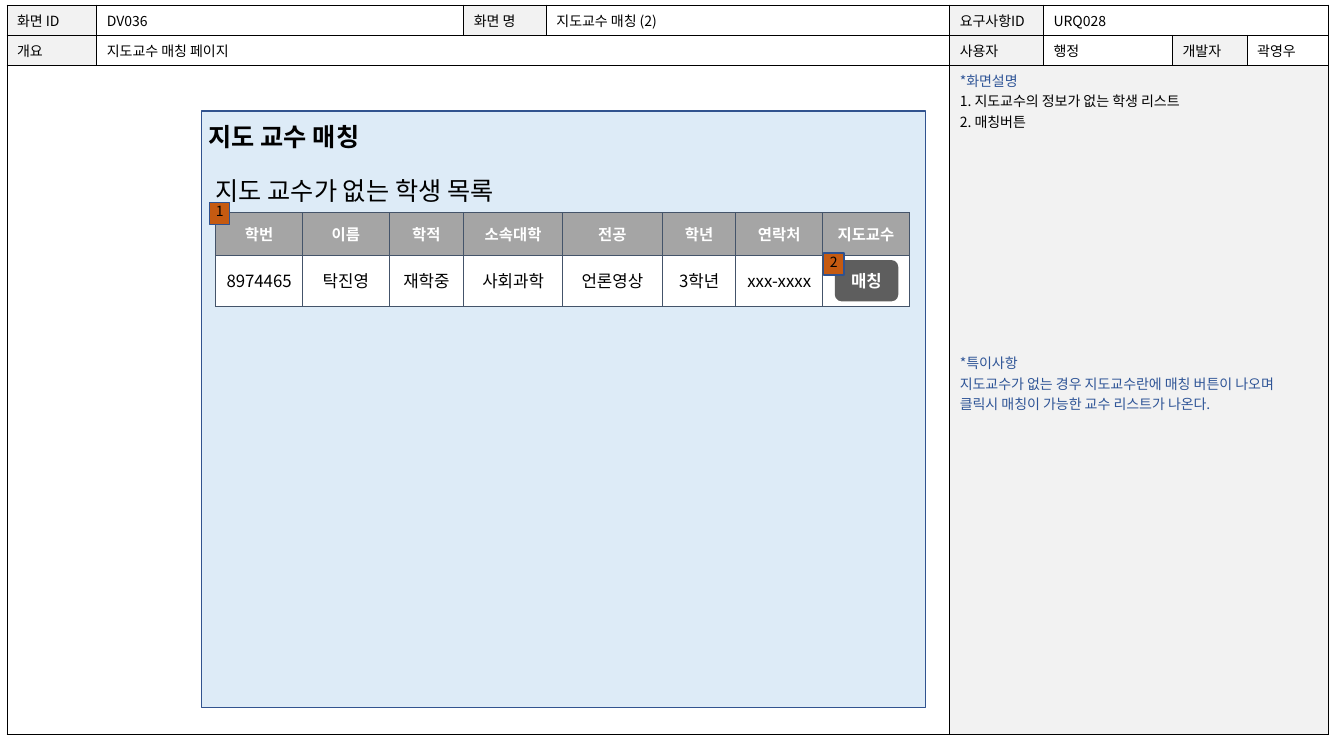
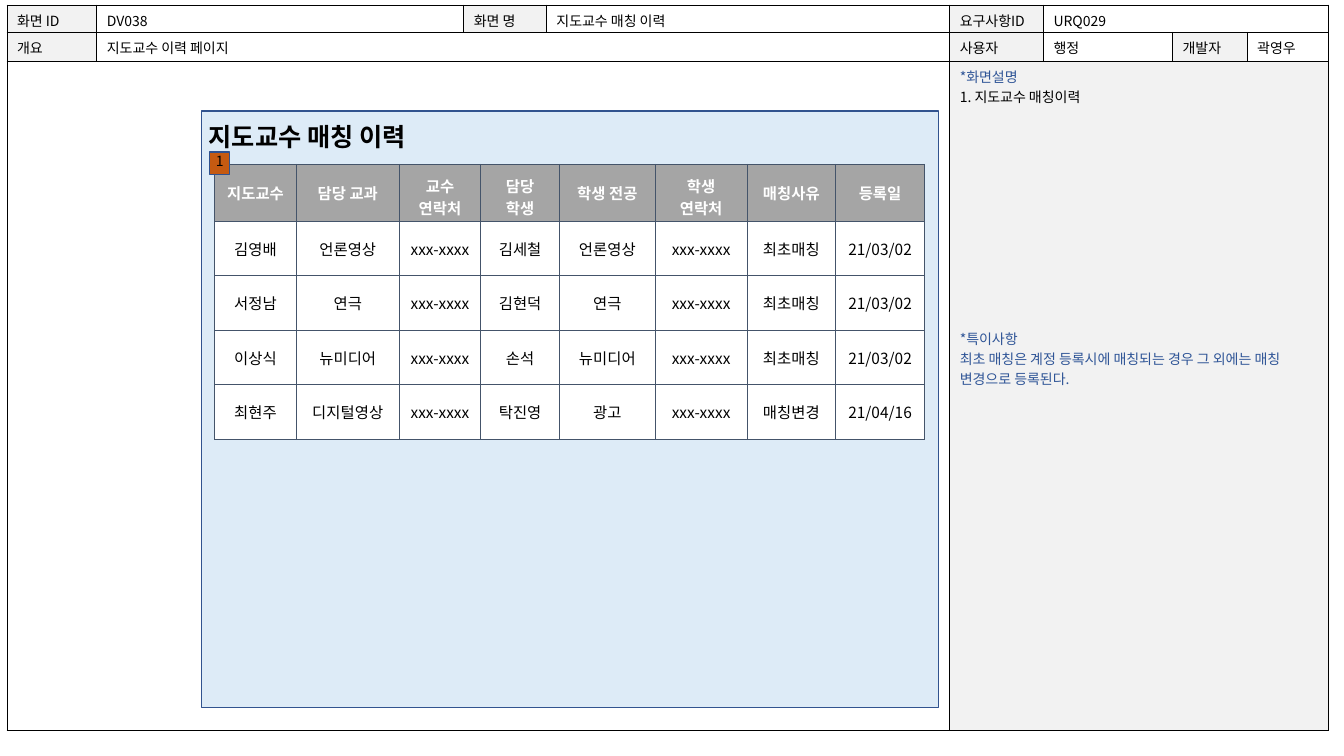
from lxml.etree import SubElement
from pptx import Presentation
from pptx.dml.color import RGBColor
from pptx.enum.shapes import MSO_SHAPE
from pptx.enum.text import MSO_ANCHOR, PP_ALIGN
from pptx.oxml.ns import qn
from pptx.util import Inches, Pt

FONT = "Noto Sans CJK KR"
COLORS = {
    "black": "000000", "white": "FFFFFF", "label": "F2F2F2", "note": "2F5597",
    "panel": "DDEBF7", "panel_line": "31538F", "header": "A5A5A5", "grid": "44546A",
    "badge": "C55A11", "badge_line": "2F528F", "button": "5E5E5E",
}
FORM_COLUMNS = [0.89, 3.64, 0.82, 4, 0.93, 1.28, 0.74, 0.81]
FORM_ROWS = [0.27, 0.29, 6.64]
FORM_MERGES = [(0, 5, 7), (1, 1, 3), (2, 0, 3), (2, 4, 7)]
FORM_LABELS = [(0, 0), (0, 2), (0, 4), (1, 0), (1, 4), (1, 6), (2, 4)]
NOTE_GAP = 158.4

SCREENS = [
    {
        "id": "DV036", "name": "지도교수 매칭 (2)", "requirement": "URQ028",
        "summary": "지도교수 매칭 페이지",
        "items": ["1. 지도교수의 정보가 없는 학생 리스트", "2. 매칭버튼"],
        "remarks": ["지도교수가 없는 경우 지도교수란에 매칭 버튼이 나오며",
                    "클릭시 매칭이 가능한 교수 리스트가 나온다."],
        "panel_width": 7.18,
        "headings": [("지도 교수 매칭", 2.07, 1.15, True),
                     ("지도 교수가 없는 학생 목록", 2.14, 1.68, False)],
        "table_at": (2.14, 2.11),
        "columns": [0.86, 0.86, 0.74, 0.98, 0.99, 0.73, 0.86, 0.86],
        "row_heights": [0.42, 0.51],
        "body_size": 12,
        "rows": [
            ["학번", "이름", "학적", "소속대학", "전공", "학년", "연락처", "지도교수"],
            ["8974465", "탁진영", "재학중", "사회과학", "언론영상", "3학년", "xxx-xxxx", ""],
        ],
        "buttons": [("매칭", 8.28, 2.58)],
        "badges": [(2.08, 2.01), (8.17, 2.51)],
    },
    {
        "id": "DV038", "name": "지도교수 매칭 이력", "requirement": "URQ029",
        "summary": "지도교수 이력 페이지",
        "items": ["1. 지도교수 매칭이력"],
        "remarks": ["최초 매칭은 계정 등록시에 매칭되는 경우 그 외에는 매칭 변경으로 등록된다."],
        "panel_width": 7.31,
        "headings": [("지도교수 매칭 이력", 2.07, 1.15, True)],
        "table_at": (2.13, 1.63),
        "columns": [0.81, 1.02, 0.81, 0.78, 0.95, 0.91, 0.88, 0.88],
        "row_heights": [0.54] * 5,
        "body_size": 11,
        "rows": [
            ["지도교수", "담당 교과", "교수 연락처", "담당 학생", "학생 전공",
             "학생\n연락처", "매칭사유", "등록일"],
            ["김영배", "언론영상", "xxx-xxxx", "김세철", "언론영상", "xxx-xxxx", "최초매칭", "21/03/02"],
            ["서정남", "연극", "xxx-xxxx", "김현덕", "연극", "xxx-xxxx", "최초매칭", "21/03/02"],
            ["이상식", "뉴미디어", "xxx-xxxx", "손석", "뉴미디어", "xxx-xxxx", "최초매칭", "21/03/02"],
            ["최현주", "디지털영상", "xxx-xxxx", "탁진영", "광고", "xxx-xxxx", "매칭변경", "21/04/16"],
        ],
        "buttons": [],
        "badges": [(2.08, 1.51)],
    },
]


def set_text(text_frame, text, size, color="black", bold=False, align=PP_ALIGN.LEFT):
    text_frame.text = text
    for paragraph in text_frame.paragraphs:
        paragraph.alignment = align
        if not paragraph.runs:
            SubElement(paragraph._p, qn("a:endParaRPr"), sz=str(size * 100))
        for run in paragraph.runs:
            run.font.name = FONT
            run.font.size = Pt(size)
            run.font.bold = bold
            run.font.color.rgb = RGBColor.from_string(COLORS[color])
            SubElement(run._r.get_or_add_rPr(), qn("a:ea"), typeface=FONT)


def add_grid(slide, left, top, columns, row_heights, border, margin):
    table = slide.shapes.add_table(
        len(row_heights), len(columns), Inches(left), Inches(top),
        Inches(sum(columns)), Inches(sum(row_heights))).table
    table.first_row = False
    table.horz_banding = False
    for column, width in zip(table.columns, columns):
        column.width = Inches(width)
    for row, height in zip(table.rows, row_heights):
        row.height = Inches(height)
    for cell in table.iter_cells():
        cell.margin_left = cell.margin_right = Inches(0.1)
        cell.margin_top = cell.margin_bottom = Inches(margin)
        properties = cell._tc.get_or_add_tcPr()
        for side in ("a:lnL", "a:lnR", "a:lnT", "a:lnB"):
            line = SubElement(properties, qn(side), w=str(Pt(0.75)))
            fill = SubElement(line, qn("a:solidFill"))
            SubElement(fill, qn("a:srgbClr"), val=COLORS[border])
        cell.fill.solid()
        cell.fill.fore_color.rgb = RGBColor.from_string(COLORS["white"])
    return table


presentation = Presentation()
presentation.slide_width = Inches(13.33)
presentation.slide_height = Inches(7.5)

for screen in SCREENS:
    slide = presentation.slides.add_slide(presentation.slide_layouts[6])

    form = add_grid(slide, 0.07, 0.05, FORM_COLUMNS, FORM_ROWS, "black", 0.05)
    for row, first, last in FORM_MERGES:
        form.cell(row, first).merge(form.cell(row, last))
    for row, column in FORM_LABELS:
        form.cell(row, column).fill.fore_color.rgb = RGBColor.from_string(COLORS["label"])
    notes = ["*화면설명", *screen["items"], "*특이사항", *screen["remarks"]]
    form_texts = [
        ["화면 ID", screen["id"], "화면 명", screen["name"], "요구사항ID", screen["requirement"], "", ""],
        ["개요", screen["summary"], "", "", "사용자", "행정", "개발자", "곽영우"],
        ["", "", "", "", "\n".join(notes), "", "", ""],
    ]
    for row, texts in enumerate(form_texts):
        for column, text in enumerate(texts):
            set_text(form.cell(row, column).text_frame, text, 10)
    note_paragraphs = form.cell(2, 4).text_frame.paragraphs
    item_count = len(screen["items"])
    for index, paragraph in enumerate(note_paragraphs):
        if 1 <= index <= item_count:
            properties = paragraph._p.get_or_add_pPr()
            properties.set("marL", str(Inches(0.25)))
            properties.set("indent", str(Inches(-0.25)))
        else:
            paragraph.runs[0].font.color.rgb = RGBColor.from_string(COLORS["note"])
    note_paragraphs[item_count + 1].space_before = Pt(NOTE_GAP)

    panel = slide.shapes.add_shape(
        MSO_SHAPE.RECTANGLE, Inches(2), Inches(1.1), Inches(screen["panel_width"]), Inches(5.92))
    panel.shadow.inherit = False
    panel.fill.solid()
    panel.fill.fore_color.rgb = RGBColor.from_string(COLORS["panel"])
    panel.line.color.rgb = RGBColor.from_string(COLORS["panel_line"])
    panel.line.width = Pt(1)

    for text, left, top, bold in screen["headings"]:
        heading = slide.shapes.add_textbox(Inches(left), Inches(top), Inches(3.2), Inches(0.41))
        text_frame = heading.text_frame
        text_frame.word_wrap = True
        text_frame.vertical_anchor = MSO_ANCHOR.MIDDLE
        text_frame.margin_left = text_frame.margin_right = 0
        text_frame.margin_top = text_frame.margin_bottom = 0
        set_text(text_frame, text, 18, bold=bold)

    left, top = screen["table_at"]
    listing = add_grid(slide, left, top, screen["columns"], screen["row_heights"], "grid", 0.1)
    for row, texts in enumerate(screen["rows"]):
        for column, text in enumerate(texts):
            cell = listing.cell(row, column)
            cell.vertical_anchor = MSO_ANCHOR.MIDDLE
            if row == 0:
                cell.fill.fore_color.rgb = RGBColor.from_string(COLORS["header"])
                set_text(cell.text_frame, text, 11, "white", True, PP_ALIGN.CENTER)
            else:
                set_text(cell.text_frame, text, screen["body_size"], align=PP_ALIGN.CENTER)

    for text, left, top in screen["buttons"]:
        button = slide.shapes.add_shape(
            MSO_SHAPE.ROUNDED_RECTANGLE, Inches(left), Inches(top), Inches(0.63), Inches(0.41))
        button.shadow.inherit = False
        button.fill.solid()
        button.fill.fore_color.rgb = RGBColor.from_string(COLORS["button"])
        button.line.fill.background()
        button.text_frame.vertical_anchor = MSO_ANCHOR.MIDDLE
        set_text(button.text_frame, text, 12, "white", True, PP_ALIGN.CENTER)

    for number, (left, top) in enumerate(screen["badges"], 1):
        badge = slide.shapes.add_shape(
            MSO_SHAPE.RECTANGLE, Inches(left), Inches(top), Inches(0.2), Inches(0.22))
        badge.shadow.inherit = False
        badge.fill.solid()
        badge.fill.fore_color.rgb = RGBColor.from_string(COLORS["badge"])
        badge.line.color.rgb = RGBColor.from_string(COLORS["badge_line"])
        badge.line.width = Pt(1)
        text_frame = badge.text_frame
        text_frame.vertical_anchor = MSO_ANCHOR.TOP
        text_frame.margin_left = text_frame.margin_right = 0
        text_frame.margin_top = text_frame.margin_bottom = 0
        set_text(text_frame, str(number), 10, align=PP_ALIGN.CENTER)

presentation.save("out.pptx")
